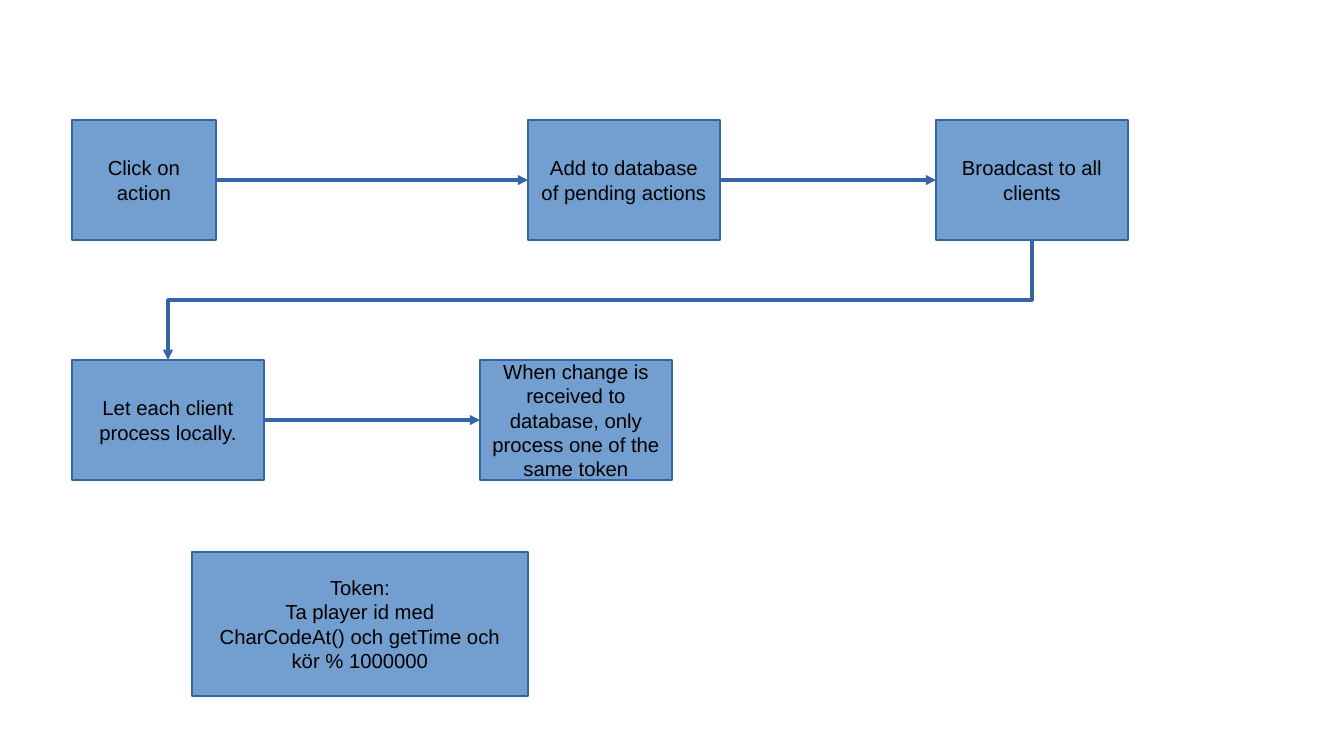
from pptx import Presentation
from pptx.dml.color import RGBColor
from pptx.enum.shapes import MSO_CONNECTOR, MSO_SHAPE
from pptx.enum.text import MSO_ANCHOR, PP_ALIGN
from pptx.oxml.ns import qn
from pptx.util import Cm, Inches, Pt
from lxml import etree

RECT = MSO_SHAPE.RECTANGLE
STRAIGHT, ELBOW = MSO_CONNECTOR.STRAIGHT, MSO_CONNECTOR.ELBOW
MIDDLE, CENTER = MSO_ANCHOR.MIDDLE, PP_ALIGN.CENTER
TOP, LEFT, BOTTOM, RIGHT = range(4)  # connection sites of a rectangle

CELL = Cm(0.5)
COLS, ROWS = 56, 31.5
FILL, LINE, TEXT = "729FCF", "3465A4", "000000"
FONT, SIZE = "Arial", Pt(12)


def color(hex_code):
    """Turn a hex string into a colour."""
    return RGBColor.from_string(hex_code)


def style_line(line):
    """Give an outline or connector the diagram's hairline."""
    line.color.rgb = color(LINE)
    line.width = Pt(0)


def add_box(s, paragraphs, col, row, cols, rows):
    """Draw a text box on the grid; each paragraph is a list of lines."""
    sp = s.shapes.add_shape(RECT, *(int(n * CELL) for n in (col, row, cols, rows)))
    sp.shadow.inherit = False
    sp.fill.solid()
    sp.fill.fore_color.rgb = color(FILL)
    style_line(sp.line)
    tf = sp.text_frame
    tf.word_wrap = True
    tf.vertical_anchor = MIDDLE
    tf.margin_left = tf.margin_right = Inches(0.1)
    tf.margin_top = tf.margin_bottom = Inches(0.05)
    for i, lines in enumerate(paragraphs):
        p = tf.add_paragraph() if i else tf.paragraphs[0]
        p.alignment = CENTER
        for j, text in enumerate(lines):
            if j:
                p.add_line_break()
            r = p.add_run()
            r.text = text
            r.font.name, r.font.size = FONT, SIZE
            r.font.color.rgb = color(TEXT)
    return sp


def add_arrow(s, kind, start, start_site, end, end_site):
    """Glue an arrow between two boxes."""
    c = s.shapes.add_connector(kind, 0, 0, 0, 0)
    c.begin_connect(start, start_site)
    c.end_connect(end, end_site)
    style_line(c.line)
    etree.SubElement(c.line._get_or_add_ln(), qn("a:tailEnd"), type="triangle")
    etree.SubElement(c._element.spPr, qn("a:effectLst"))
    return c


def turn_down(c):
    """Turn an elbow a quarter so that it leaves and arrives vertically."""
    mid_x, mid_y = c.left + c.width // 2, c.top + c.height // 2
    c.width, c.height = c.height, c.width
    c.left, c.top = mid_x - c.width // 2, mid_y - c.height // 2
    xfrm = c._element.spPr.find(qn("a:xfrm"))
    xfrm.attrib.pop("flipH", None)
    xfrm.set("rot", str(90 * 60000))


def add_row(s, steps, row, rows):
    """Draw one row of steps, given as (text, column, columns), with arrows."""
    boxes = [add_box(s, [[text]], col, row, cols, rows) for text, col, cols in steps]
    for start, end in zip(boxes, boxes[1:]):
        add_arrow(s, STRAIGHT, start, RIGHT, end, LEFT)
    return boxes


def build_flow(prs):
    """Build the slide with the two-row action flow and the token note."""
    s = prs.slides.add_slide(prs.slide_layouts[6])
    upper = add_row(s, [
        ("Click on action", 3, 6),
        ("Add to database of pending actions", 22, 8),
        ("Broadcast to all clients", 39, 8),
    ], row=5, rows=5)
    lower = add_row(s, [
        ("Let each client process locally.", 3, 8),
        ("When change is received to database, only process one of the same token", 20, 8),
    ], row=15, rows=5)
    turn_down(add_arrow(s, ELBOW, upper[-1], BOTTOM, lower[0], TOP))
    add_box(s, [
        ["Token:", "Ta player id med"],
        ["CharCodeAt() och getTime och kör % 1000000"],
    ], 8, 23, 14, 6)


prs = Presentation()
prs.slide_width, prs.slide_height = int(COLS * CELL), int(ROWS * CELL)
build_flow(prs)
prs.save("out.pptx")
